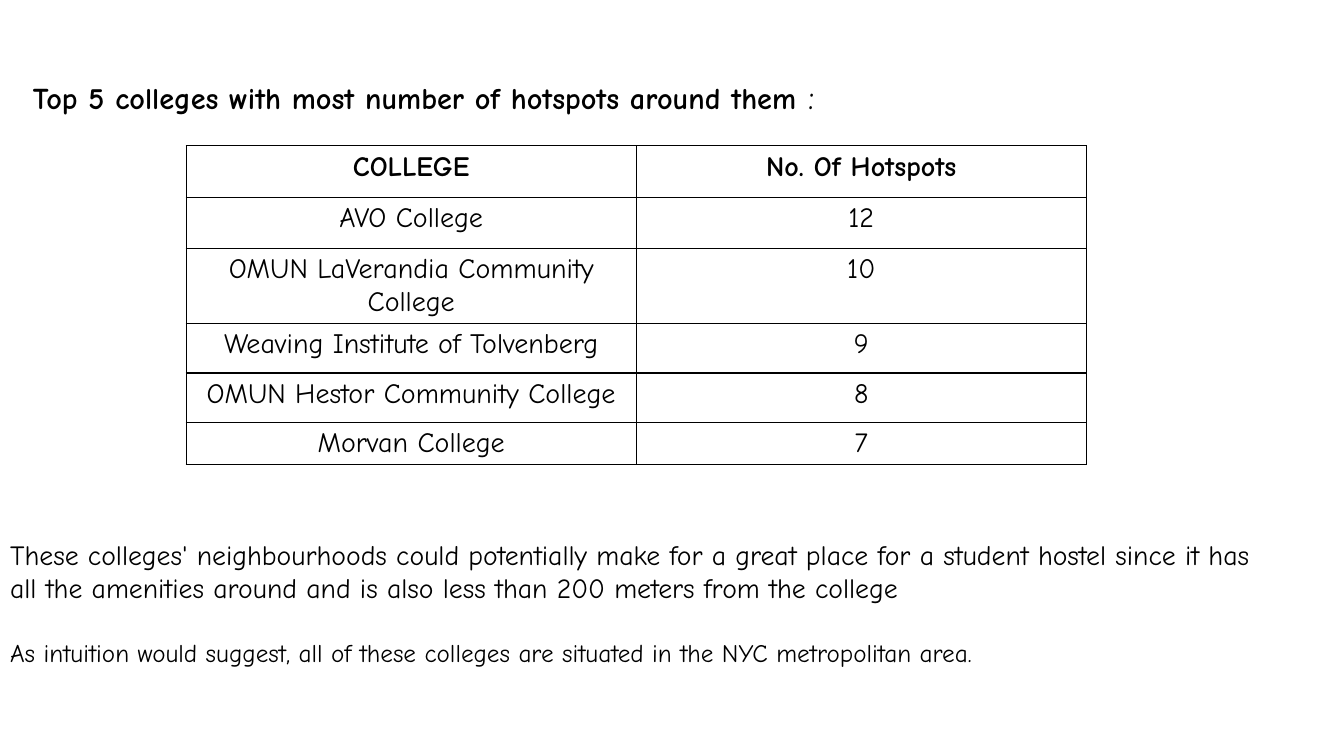
from lxml.etree import SubElement
from pptx import Presentation
from pptx.dml.color import RGBColor
from pptx.enum.text import PP_ALIGN
from pptx.oxml.ns import qn
from pptx.util import Pt

FONT = "Comic Neue"
BLACK = RGBColor(0, 0, 0)
BORDER_SIDES = ("a:lnL", "a:lnR", "a:lnT", "a:lnB")
ROW_HEIGHTS = (36.7, 36.7, 53.3, 35.3, 35.3, 30)
COLLEGES = (
    ("COLLEGE", "No. Of Hotspots"),
    ("AVO College", "12"),
    ("OMUN LaVerandia Community College", "10"),
    ("Weaving Institute of Tolvenberg", "9"),
    ("OMUN Hestor Community College", "8"),
    ("Morvan College", "7"),
)
NEIGHBOURHOODS = (
    "These colleges' neighbourhoods could potentially make for a great place "
    "for a student hostel since it has all the amenities around and is also "
    "less than 200 meters from the college"
)
LOCATION = (
    "As intuition would suggest, all of these colleges are situated "
    "in the NYC metropolitan area."
)


def style_font(font, size, bold=False):
    font.name = FONT
    font.size = Pt(size)
    font.bold = bold
    font.color.rgb = BLACK


def add_text_frame(slide, left, top, width, height):
    """Add a wrapping text box whose text starts at the given corner."""
    box = slide.shapes.add_textbox(Pt(left), Pt(top), Pt(width), Pt(height))
    frame = box.text_frame
    frame.word_wrap = True
    frame.margin_left = frame.margin_right = 0
    frame.margin_top = frame.margin_bottom = 0
    return frame


def add_heading(slide, left, top, width, height):
    paragraph = add_text_frame(slide, left, top, width, height).paragraphs[0]
    for text, size, bold in (
        ("Top 5 colleges with most number of hotspots around them", 21.6, True),
        (" :", 25.2, False),
    ):
        run = paragraph.add_run()
        run.text = text
        style_font(run.font, size, bold)


def add_conclusions(slide, left, top, width, height):
    frame = add_text_frame(slide, left, top, width, height)
    first, second = frame.paragraphs[0], frame.add_paragraph()
    first.text = NEIGHBOURHOODS
    style_font(first.font, 19.8)
    second.text = LOCATION
    second.space_before = Pt(23.5)
    style_font(second.font, 18)


def add_borders(cell):
    properties = cell._tc.get_or_add_tcPr()
    for position, side in enumerate(BORDER_SIDES):
        line = SubElement(properties, qn(side), w=str(Pt(1)))
        fill = SubElement(line, qn("a:solidFill"))
        SubElement(fill, qn("a:srgbClr"), val=str(BLACK))
        properties.remove(line)
        properties.insert(position, line)


def add_college_table(slide, left, top, width, height):
    table = slide.shapes.add_table(
        len(COLLEGES), 2, Pt(left), Pt(top), Pt(width), Pt(height)
    ).table
    table.first_row = table.horz_banding = False
    for column in table.columns:
        column.width = Pt(width / 2)
    for row_index, values in enumerate(COLLEGES):
        table.rows[row_index].height = Pt(ROW_HEIGHTS[row_index])
        for column_index, value in enumerate(values):
            cell = table.cell(row_index, column_index)
            cell.text = value
            cell.margin_bottom = Pt(2)
            cell.fill.background()
            add_borders(cell)
            paragraph = cell.text_frame.paragraphs[0]
            paragraph.alignment = PP_ALIGN.CENTER
            style_font(paragraph.font, 20, bold=row_index == 0)


def main():
    presentation = Presentation()
    presentation.slide_width = Pt(960)
    presentation.slide_height = Pt(540)
    slide = presentation.slides.add_slide(presentation.slide_layouts[6])
    add_heading(slide, 23.5, 53, 880, 32)
    add_college_table(slide, 133, 104.2, 643, sum(ROW_HEIGHTS))
    add_conclusions(slide, 7.2, 384, 898, 95)
    presentation.save("out.pptx")


if __name__ == "__main__":
    main()
